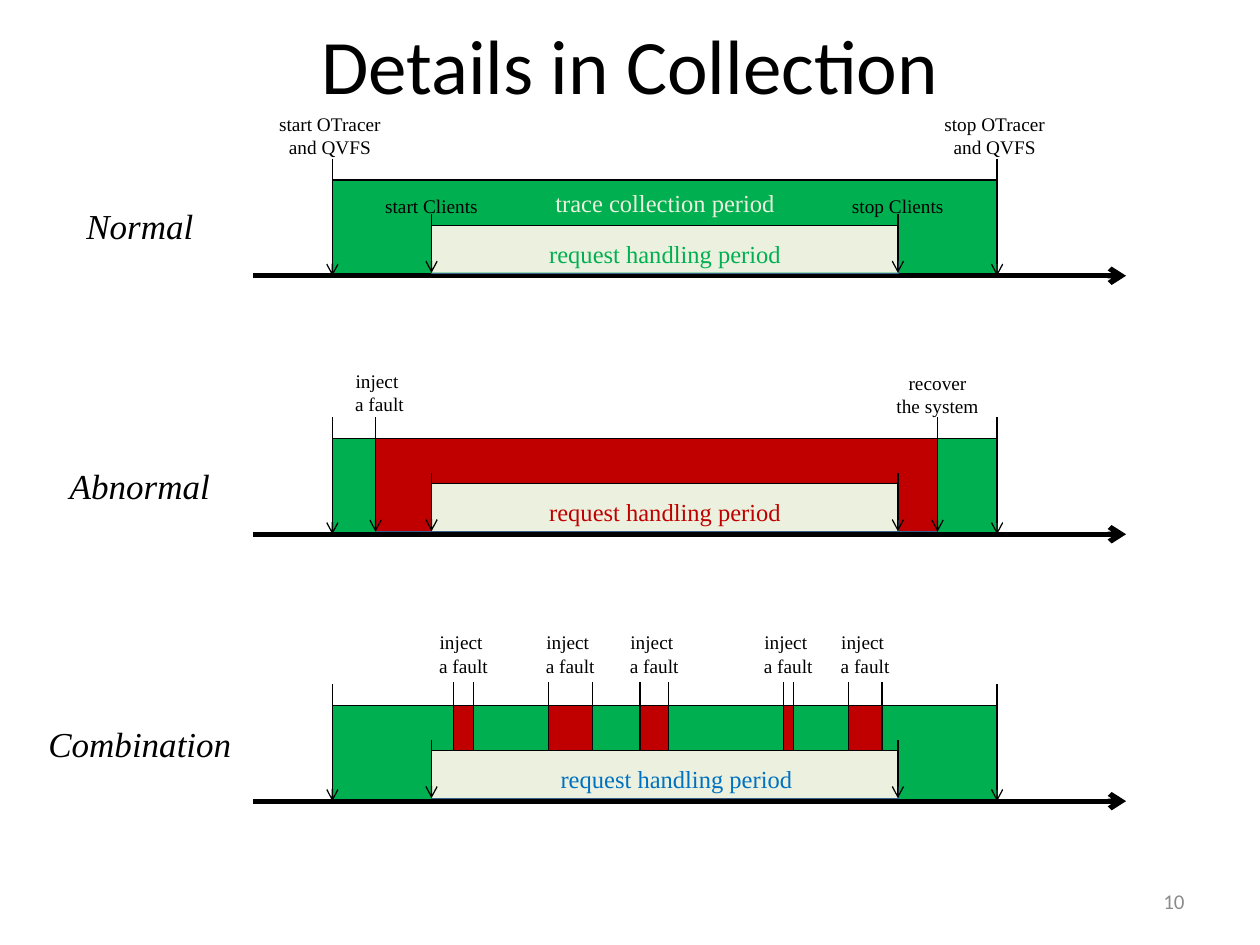
from pptx import Presentation
from pptx.dml.color import RGBColor
from pptx.enum.shapes import MSO_CONNECTOR, MSO_SHAPE
from pptx.enum.text import MSO_ANCHOR, PP_ALIGN
from pptx.oxml.ns import qn
from pptx.util import Cm, Pt
from lxml.etree import SubElement

COLORS = {
    "ink": "000000", "normal": "00B050", "fault": "C00000", "mixed": "0070C0",
    "request": "EBF1DE", "border": "3A5F8C", "page": "8C8C8C",
}
SERIF = "Times New Roman"

# Timeline geometry in cm; vertical offsets count from the top of the band
AXIS_LEFT, AXIS_RIGHT = 5.1, 22.7
TRACE_LEFT, TRACE_WIDTH, TRACE_HEIGHT = 6.7, 13.4, 1.93
TRACE_RIGHT = TRACE_LEFT + TRACE_WIDTH
REQUEST_LEFT, REQUEST_WIDTH, REQUEST_HEIGHT = 8.7, 9.4, 0.96
REQUEST_OFFSET = 0.91
FAULT_HEIGHT = 1.88
STEM, REQUEST_STEM = 0.43, 0.22


def rgb(name):
    return RGBColor.from_string(COLORS[name])


def add_text(slide, lines, center, top, width, height, size, color="ink",
             font=SERIF, italic=False, align=PP_ALIGN.CENTER, anchor=MSO_ANCHOR.TOP):
    box = slide.shapes.add_textbox(Cm(center - width / 2), Cm(top), Cm(width), Cm(height))
    frame = box.text_frame
    frame.word_wrap = True
    frame.vertical_anchor = anchor
    frame.text = "\n".join(lines)
    for paragraph in frame.paragraphs:
        paragraph.alignment = align
        paragraph.font.name = font
        paragraph.font.size = Pt(size)
        paragraph.font.italic = italic
        paragraph.font.color.rgb = rgb(color)


def add_event(slide, lines, center, top, width=1.88):
    add_text(slide, lines, center, top, width, 0.6 * len(lines), 11)


def add_line(slide, x1, y1, x2, y2, weight=0.75, arrow=False):
    line = slide.shapes.add_connector(
        MSO_CONNECTOR.STRAIGHT, Cm(x1), Cm(y1), Cm(x2), Cm(y2))
    line.line.color.rgb = rgb("ink")
    line.line.width = Pt(weight)
    properties = line._element.spPr
    if arrow:
        SubElement(properties.find(qn("a:ln")), qn("a:tailEnd"), type="arrow")
    SubElement(properties, qn("a:effectLst"))


def add_period(slide, left, top, width, height, color, stem=STEM):
    """A filled span with a top edge and an arrow down each side."""
    span = slide.shapes.add_shape(
        MSO_SHAPE.RECTANGLE, Cm(left), Cm(top), Cm(width), Cm(height))
    span.shadow.inherit = False
    span.fill.solid()
    span.fill.fore_color.rgb = rgb(color)
    span.line.color.rgb = rgb("border")
    span.line.width = Pt(0.25)
    add_line(slide, left, top, left + width, top)
    for x in (left, left + width):
        add_line(slide, x, top - stem, x, top + height, arrow=True)


def add_timeline(slide, name, top, name_offset):
    add_period(slide, TRACE_LEFT, top, TRACE_WIDTH, TRACE_HEIGHT, "normal")
    axis = top + TRACE_HEIGHT
    add_line(slide, AXIS_LEFT, axis, AXIS_RIGHT, axis, weight=3, arrow=True)
    add_text(slide, [name], 2.82, top + name_offset, 4.45, 1.11, 20, italic=True)


def add_request(slide, top, color, center=13.41):
    add_period(slide, REQUEST_LEFT, top + REQUEST_OFFSET, REQUEST_WIDTH,
               REQUEST_HEIGHT, "request", REQUEST_STEM)
    add_text(slide, ["request handling period"], center, top + 1.06, 5.18, 0.86, 14, color)


def add_normal(slide, top):
    add_timeline(slide, "Normal", top, 0.36)
    add_request(slide, top, "normal")
    add_text(slide, ["trace collection period"], 13.41, top + 0.03, 5.18, 0.86, 14, "request")
    for verb, trace_x, client_x in (("start", TRACE_LEFT, REQUEST_LEFT),
                                    ("stop", TRACE_RIGHT, REQUEST_LEFT + REQUEST_WIDTH)):
        add_event(slide, [f"{verb} OTracer ", "and QVFS "], trace_x, top - 1.5, 2.8)
        add_event(slide, [f"{verb} Clients"], client_x, top + 0.17, 2.7)


def add_abnormal(slide, top):
    left, width = 7.57, 11.33
    add_timeline(slide, "Abnormal", top, 0.4)
    add_period(slide, left, top, width, FAULT_HEIGHT, "fault")
    add_request(slide, top, "fault")
    add_event(slide, ["inject ", "a fault"], left + 0.08, top - 1.52)
    add_event(slide, ["recover", "the system"], left + width, top - 1.48, 2.21)


def add_combination(slide, top):
    add_timeline(slide, "Combination", top, 0.23)
    faults = [(9.14, 0.41), (11.05, 0.89), (12.9, 0.58), (15.79, 0.2), (17.1, 0.68)]
    for left, width in faults:
        add_period(slide, left, top, width, FAULT_HEIGHT, "fault", stem=0.47)
        add_event(slide, ["inject ", "a fault"], left + width / 2, top - 1.63)
    add_request(slide, top, "mixed", center=13.64)


def main():
    prs = Presentation()
    prs.slide_width, prs.slide_height = Cm(25.4), Cm(19.05)
    slide = prs.slides.add_slide(prs.slide_layouts[6])

    # Title
    add_text(slide, ["Details in Collection"], 12.7, 0, 25.4, 2.34, 44,
             font="Calibri", anchor=MSO_ANCHOR.BOTTOM)

    # Three timelines
    add_normal(slide, 3.63)
    add_abnormal(slide, 8.84)
    add_combination(slide, 14.22)

    # Page number
    add_text(slide, ["10"], 21.17, 17.65, 5.92, 1.02, 12, "page", "Calibri",
             align=PP_ALIGN.RIGHT, anchor=MSO_ANCHOR.MIDDLE)

    prs.save("out.pptx")


if __name__ == "__main__":
    main()
